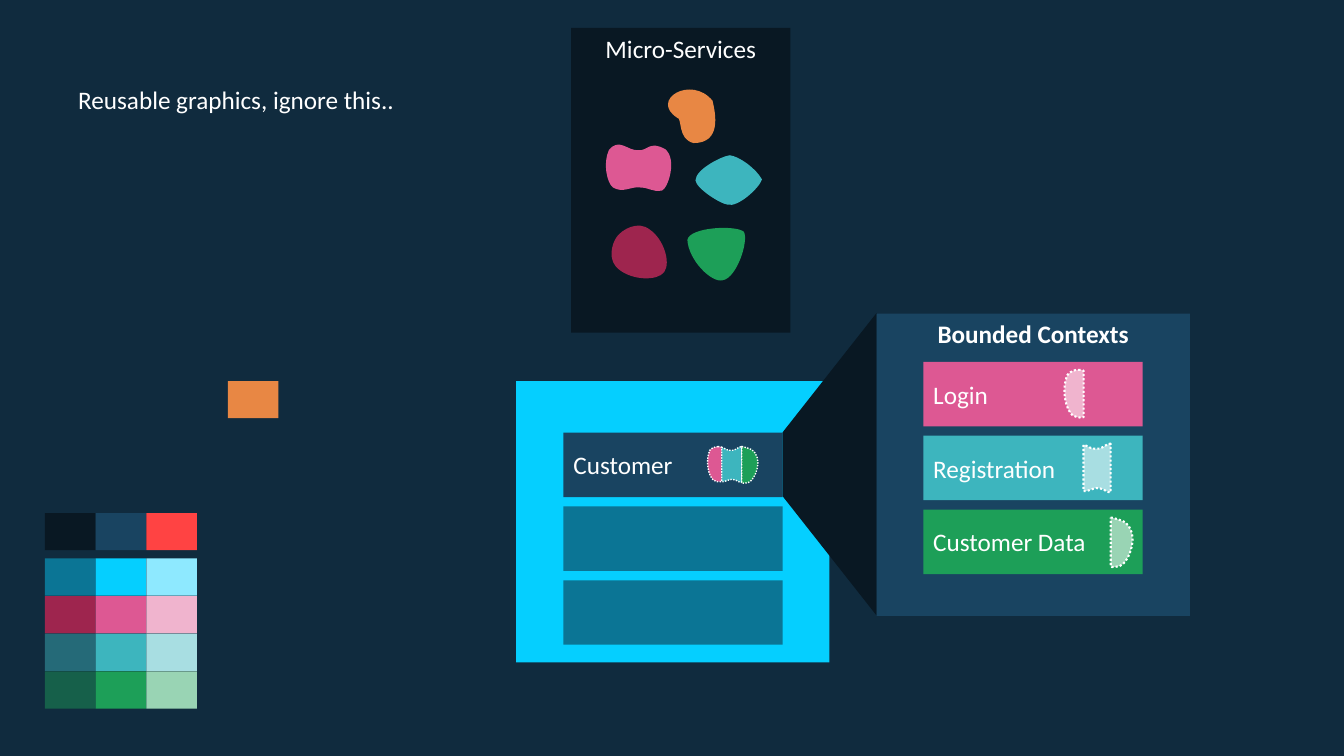
import lxml.etree
import pptx
import pptx.util
import pptx.dml.color
import pptx.enum.dml
import pptx.enum.shapes
import pptx.enum.text
import pptx.oxml.ns

Pt = pptx.util.Pt
qn = pptx.oxml.ns.qn
SHAPE = pptx.enum.shapes.MSO_SHAPE
ALIGN = pptx.enum.text.PP_ALIGN
ANCHOR = pptx.enum.text.MSO_ANCHOR

WHITE, BACKGROUND = "FFFFFF", "102B3E"
DARK, NAVY, DEEP, CYAN = "091823", "194461", "0B7595", "05CFFF"
PINK, TEAL, GREEN = "DD5893", "3DB5BE", "1D9F58"
MAROON, ORANGE = "9E254E", "E88744"
PALE_PINK, PALE_TEAL, PALE_GREEN = "F0B4CE", "A8DEE2", "99D4B4"

BAR_W, BAR_H, BAR_STEP = 156.6, 46, 52.75

PALETTE = [
    (366.5, SHAPE.RECTANGLE, [DARK, NAVY, "FF4343"]),
    (398.9, SHAPE.RECTANGLE, [DEEP, CYAN, "8EE9FF"]),
    (425.8, SHAPE.ROUNDED_RECTANGLE, [MAROON, PINK, PALE_PINK]),
    (452.7, SHAPE.ROUNDED_RECTANGLE, ["256A78", TEAL, PALE_TEAL]),
    (479.6, SHAPE.ROUNDED_RECTANGLE, ["16604A", GREEN, PALE_GREEN]),
]

CONTEXTS = [
    ("Login", PINK, PALE_PINK,
     [(10.1, 0), (10.8, 0, 11.5, 0, 12.2, 0), (13.7, 0.7), (13.7, 33.8),
      (10.8, 34.6, 8.6, 33.8, 5.8, 32.4),
      (0.7, 28.1, -2.2, 13.7, 2.2, 3.6),
      (5, 0.7, 7.2, 0, 10.1, 0)]),
    ("Registration", TEAL, PALE_TEAL,
     [(32.4, 0), (33.1, 0), (33.1, 34.6), (31.7, 34.6),
      (29.5, 33.8, 27.4, 31.7, 23, 31.7),
      (20.9, 31.7, 18.7, 33.1, 15.8, 33.8),
      (13.7, 33.8), (13.7, 0.7),
      (16.6, 1.4, 19.4, 4.3, 23, 3.6),
      (26.6, 4.3, 28.8, 0.7, 32.4, 0)]),
    ("Customer Data", GREEN, PALE_GREEN,
     [(33.1, 0), (33.8, 0),
      (36.7, 0.7, 38.9, 1.4, 42.5, 2.9),
      (54.7, 10.8, 46.1, 32.4, 39.6, 34.6),
      (37.4, 35.3, 35.3, 35.3, 33.8, 35.3),
      (33.1, 34.6)]),
]

SERVICES = [
    (GREEN, [(531.4, 165.6),
             (535, 172.1, 526.3, 198.7, 516.2, 200.2),
             (508.3, 202.3, 491.8, 185.8, 491, 171.4),
             (492.5, 162, 526.3, 160.6, 531.4, 165.6)]),
    (TEAL, [(496.8, 128.9),
            (496.8, 121, 515.5, 111.6, 521.3, 110.9),
            (527.8, 111.6, 540, 120.2, 544.3, 128.2),
            (542.2, 134.6, 527, 148.3, 519.8, 146.2),
            (514.1, 145.4, 497.5, 134.6, 496.8, 128.9)]),
    (PINK, [(456.5, 133.9),
            (450.7, 133.2, 445, 138.2, 437.8, 133.9),
            (433.4, 130.3, 430.6, 116.6, 434.9, 107.3),
            (442.1, 97.9, 448.6, 108, 455.8, 107.3),
            (463, 108, 463.7, 100.1, 475.2, 106.6),
            (483.8, 113.8, 477.4, 133.9, 473, 136.1),
            (465.8, 137.5, 464.4, 133.9, 456.5, 133.9)]),
    (MAROON, [(440.6, 169.2),
              (444.2, 164.2, 455.8, 157, 464.4, 164.2),
              (473.8, 170.6, 479.5, 187.2, 474.5, 194.4),
              (469.4, 200.9, 452.2, 200.2, 442.8, 193),
              (433.4, 186.5, 437, 174.2, 440.6, 169.2)]),
    (ORANGE, [(483.8, 84.2),
              (463.7, 71.3, 493.9, 53.3, 509, 72),
              (511.2, 81.4, 515.5, 102.2, 495.4, 102.2),
              (483.8, 99.4, 487.4, 84.2, 483.8, 84.2)]),
]


def rgb(value):
    return pptx.dml.color.RGBColor.from_string(value)


def set_attrs(obj, values):
    for name, value in values.items():
        setattr(obj, name, value)


def paint(sp, fill):
    sp.shadow.inherit = False
    sp.fill.solid()
    sp.fill.fore_color.rgb = rgb(fill)
    sp.line.fill.background()


def write(sp, text, align=ALIGN.LEFT, anchor=ANCHOR.TOP, bold=False, wrap=True):
    tf = sp.text_frame
    set_attrs(tf, {"word_wrap": wrap, "vertical_anchor": anchor,
                   "auto_size": pptx.enum.text.MSO_AUTO_SIZE.NONE})
    p = tf.paragraphs[0]
    p.alignment = align
    r = p.add_run()
    r.text = text
    set_attrs(r.font, {"name": "Calibri", "size": Pt(18), "bold": bold})
    r.font.color.rgb = rgb(WHITE)


def add_box(slide, x, y, w, h, fill, shape=SHAPE.RECTANGLE):
    sp = slide.shapes.add_shape(shape, Pt(x), Pt(y), Pt(w), Pt(h))
    if shape == SHAPE.ROUNDED_RECTANGLE:
        sp.adjustments[0] = 0
    paint(sp, fill)
    return sp


def add_bar(slide, x, y, fill, h=BAR_H):
    return add_box(slide, x, y, BAR_W, h, fill, SHAPE.ROUNDED_RECTANGLE)


def pairs(segment):
    return list(zip(segment[::2], segment[1::2]))


def curve_points(start, segment, steps=16):
    (x0, y0), (x1, y1), (x2, y2), (x3, y3) = [start] + pairs(segment)
    for i in range(1, steps + 1):
        t = i / steps
        a, b, c, d = (1 - t) ** 3, 3 * t * (1 - t) ** 2, 3 * t * t * (1 - t), t ** 3
        yield a * x0 + b * x1 + c * x2 + d * x3, a * y0 + b * y1 + c * y2 + d * y3


def draw_curves(sp, outline):
    geometry = sp.element.find(".//" + qn("a:path"))
    for child in list(geometry):
        geometry.remove(child)
    for i, segment in enumerate(outline):
        tag = "a:moveTo" if i == 0 else "a:lnTo" if len(segment) == 2 else "a:cubicBezTo"
        step = lxml.etree.SubElement(geometry, qn(tag))
        for x, y in pairs(segment):
            lxml.etree.SubElement(step, qn("a:pt"), x=str(x - sp.left), y=str(y - sp.top))
    lxml.etree.SubElement(geometry, qn("a:close"))


def add_outline(slide, outline, fill, x=0, y=0, scale=1, dots=None):
    outline = [tuple(Pt((x, y)[i % 2] + v * scale) for i, v in enumerate(segment))
               for segment in outline]
    points = [outline[0]]
    for segment in outline[1:]:
        points.extend([segment] if len(segment) == 2
                      else curve_points(points[-1], segment))
    builder = slide.shapes.build_freeform(*points[0])
    builder.add_line_segments(points[1:], close=True)
    sp = builder.convert_to_shape()
    draw_curves(sp, outline)
    paint(sp, fill)
    if dots:
        sp.line.color.rgb = rgb(WHITE)
        set_attrs(sp.line, {"width": Pt(dots),
                            "dash_style": pptx.enum.dml.MSO_LINE.ROUND_DOT})


def add_title(slide, text):
    sp = slide.shapes.title
    set_attrs(sp, {"left": Pt(48.6), "top": Pt(56.9),
                   "width": Pt(242.6), "height": Pt(72.7)})
    write(sp, text, wrap=False)


def add_customer_panel(slide):
    add_box(slide, 368.6, 272.2, 223.9, 200.9, CYAN)
    for i, fill in enumerate([NAVY, DEEP, DEEP]):
        sp = add_bar(slide, 402.5, 309 + i * BAR_STEP, fill)
        if i == 0:
            write(sp, "Customer", anchor=ANCHOR.MIDDLE)


def add_contexts(slide):
    sp = add_box(slide, 484.6, 298.1, 216, 67, DARK, SHAPE.TRAPEZOID)
    sp.adjustments[0] = 1.27
    sp.rotation = 270
    sp = add_box(slide, 626.1, 224, 223.9, 216, NAVY)
    write(sp, "Bounded Contexts", ALIGN.CENTER, bold=True)
    for i, (name, fill, pale, outline) in enumerate(CONTEXTS):
        sp = add_bar(slide, 659.5, 258.5 + i * BAR_STEP, fill)
        write(sp, name, anchor=ANCHOR.MIDDLE)
        add_outline(slide, outline, pale, 760.3, 264.2 + i * BAR_STEP, dots=1.5)
    for name, fill, pale, outline in CONTEXTS:
        add_outline(slide, outline, fill, 505.4, 319, 0.74, dots=1)


def add_services(slide):
    sp = add_bar(slide, 408, 20, DARK, h=217.6)
    write(sp, "Micro-Services", ALIGN.CENTER)
    for fill, outline in SERVICES:
        add_outline(slide, outline, fill)


def add_palette(slide):
    add_box(slide, 162.7, 272.2, 36.2, 26.6, ORANGE)
    for y, shape, fills in PALETTE:
        for i, fill in enumerate(fills):
            add_box(slide, 32.1 + i * 36.2, y, 36.2, 26.6, fill, shape)


def main():
    prs = pptx.Presentation()
    set_attrs(prs, {"slide_width": Pt(960), "slide_height": Pt(540)})
    slide = prs.slides.add_slide(prs.slide_layouts[5])
    slide.background.fill.solid()
    slide.background.fill.fore_color.rgb = rgb(BACKGROUND)
    add_title(slide, "Reusable graphics, ignore this..")
    add_customer_panel(slide)
    add_contexts(slide)
    add_services(slide)
    add_palette(slide)
    prs.save("out.pptx")


if __name__ == "__main__":
    main()
